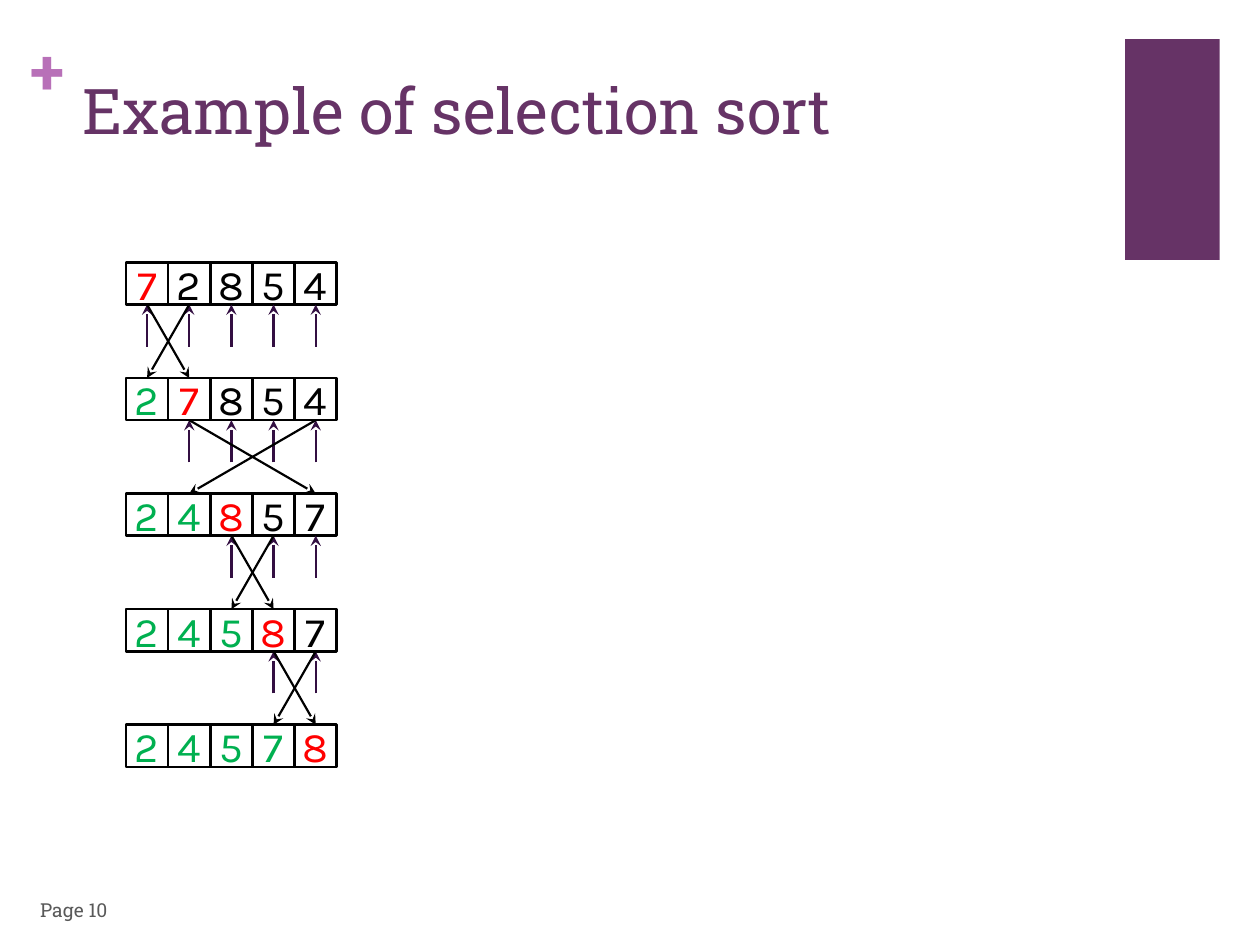
import pptx
import pptx.util
import pptx.dml.color
import pptx.enum.shapes
import pptx.enum.text
import lxml.etree
import pptx.oxml.ns

Cm = pptx.util.Cm
Pt = pptx.util.Pt
RGB = pptx.dml.color.RGBColor
Shape = pptx.enum.shapes.MSO_SHAPE
Align = pptx.enum.text.PP_ALIGN
Anchor = pptx.enum.text.MSO_ANCHOR
qn = pptx.oxml.ns.qn

PURPLE = RGB(0x66, 0x33, 0x66)
ORCHID = RGB(0xB8, 0x70, 0xB8)
PLUM = RGB(0x33, 0x0F, 0x42)
GRAY = RGB(0x59, 0x59, 0x59)
BLACK = RGB(0, 0, 0)
RED = RGB(0xFF, 0, 0)
GREEN = RGB(0, 0xB0, 0x50)
SLAB = "Roboto Slab"


def write(frame, text, color, font, para={}):
    frame.text = text
    item = frame.paragraphs[0]
    for key, value in para.items():
        setattr(item, key, value)
    run = item.runs[0]
    for key, value in font.items():
        setattr(run.font, key, value)
    run.font.color.rgb = color


def arrow(x1, y1, x2, y2, color):
    line = slide.shapes.add_connector(
        pptx.enum.shapes.MSO_CONNECTOR.STRAIGHT, Cm(x1), Cm(y1), Cm(x2), Cm(y2))
    line.line.color.rgb = color
    line.line.width = Pt(1.25)
    lxml.etree.SubElement(line.line._get_or_add_ln(), qn("a:tailEnd"), type="stealth")
    lxml.etree.SubElement(line._element.spPr, qn("a:effectLst"))


deck = pptx.Presentation()
deck.slide_width, deck.slide_height = Cm(25.4), Cm(19.05)
slide = deck.slides.add_slide(deck.slide_layouts[5])

# Corner block
block = slide.shapes.add_shape(Shape.RECTANGLE, Cm(22.68), Cm(0.79), Cm(1.91), Cm(4.45))
block.shadow.inherit = False
block.fill.solid()
block.fill.fore_color.rgb = PURPLE
block.line.fill.background()

# Title
title = slide.shapes.title
spot = {"left": 1.4, "top": 1.32, "width": 20.98, "height": 3.1}
for key, value in spot.items():
    setattr(title, key, Cm(value))
title.text_frame.auto_size = pptx.enum.text.MSO_AUTO_SIZE.NONE
title.text_frame.vertical_anchor = Anchor.TOP
write(title.text_frame, "Example of selection sort", PURPLE,
      {"size": Pt(36), "name": SLAB}, {"alignment": Align.LEFT})

# Plus sign
plus = slide.shapes.add_textbox(Cm(0.61), Cm(0.64), Cm(0.74), Cm(1.55)).text_frame
for side in ("left", "top", "right", "bottom"):
    setattr(plus, "margin_" + side, 0)
write(plus, "+", ORCHID, {"size": Pt(36), "name": SLAB, "bold": True})

# Page number
page = slide.shapes.add_textbox(Cm(0.56), Cm(17.83), Cm(1.93), Cm(1.02)).text_frame
page.vertical_anchor = Anchor.MIDDLE
write(page, "Page 10", GRAY, {"size": Pt(11), "name": SLAB})

# Each pass of the sort: cells, scan arrows, then the swap
LEFT, TOP = 2.54, 5.29
CELL, STEP = 0.85, 2.33
nums = [7, 2, 8, 5, 4]
mids = [LEFT + CELL * (col + 0.5) for col in range(len(nums))]

for row in range(len(nums)):
    top = TOP + row * STEP
    base = top + CELL
    for col, num in enumerate(nums):
        cell = slide.shapes.add_shape(
            Shape.FLOWCHART_PROCESS, Cm(LEFT + col * CELL), Cm(top), Cm(CELL), Cm(CELL))
        cell.shadow.inherit = False
        cell.fill.background()
        cell.line.color.rgb = BLACK
        cell.line.width = Pt(1.5)
        cell.text_frame.word_wrap = False
        cell.text_frame.vertical_anchor = Anchor.MIDDLE
        color = GREEN if col < row else RED if col == row else BLACK
        write(cell.text_frame, str(num), color,
              {"size": Pt(24), "name": "Karla"}, {"alignment": Align.CENTER})
    if row == len(nums) - 1:
        break
    for mid in mids[row:]:
        arrow(mid, base + CELL, mid, base, PLUM)
    low = nums.index(min(nums[row:]))
    for start, end in ((row, low), (low, row)):
        arrow(mids[start], base, mids[end], top + STEP, BLACK)
    nums[row], nums[low] = nums[low], nums[row]

deck.save("out.pptx")
